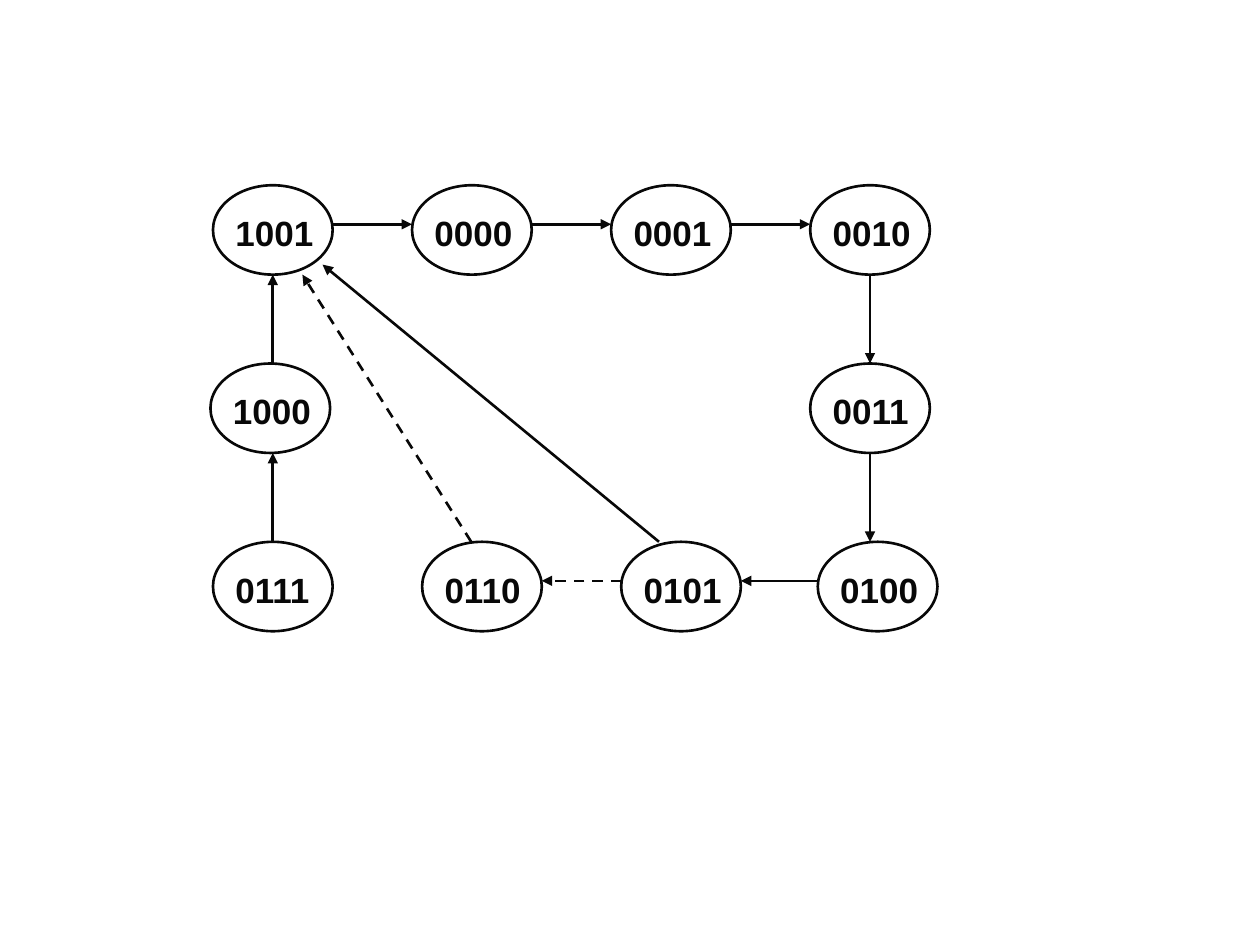
from lxml.etree import SubElement
from pptx import Presentation
from pptx.dml.color import RGBColor
from pptx.enum.dml import MSO_LINE
from pptx.enum.shapes import MSO_CONNECTOR, MSO_SHAPE
from pptx.oxml.ns import qn
from pptx.util import Inches, Pt

INK = RGBColor(0x08, 0x08, 0x08)
WIDTH, HEIGHT = 0.95, 0.71
LEFT, TOP = 1.69, 1.47
COL_STEP, ROW_STEP = 1.58, 1.415
ARROW_DROP = 0.31

# state: (column, row, horizontal nudge)
STATES = {
    "1001": (0, 0, 0), "0000": (1, 0, 0), "0001": (2, 0, 0), "0010": (3, 0, 0),
    "0011": (3, 1, 0), "0100": (3, 2, 0.06), "0101": (2, 2, 0.08),
    "0110": (1, 2, 0.08), "0111": (0, 2, 0), "1000": (0, 1, -0.02),
}
STEPS = [
    ("1001", "0000", False), ("0000", "0001", False), ("0001", "0010", False),
    ("0010", "0011", False), ("0011", "0100", False), ("0100", "0101", False),
    ("0101", "0110", True), ("0111", "1000", False), ("1000", "1001", False),
]
SHORTCUTS = [
    ((5.23, 4.3), (2.56, 2.1), False),
    ((3.74, 4.3), (2.4, 2.18), True),
]


def corner(state):
    col, row, nudge = STATES[state]
    return LEFT + col * COL_STEP + nudge, TOP + row * ROW_STEP


def add_text(s, text, x, y, w, h, size=20, bold=True, color=INK, font="Arial"):
    tf = s.shapes.add_textbox(Inches(x), Inches(y), Inches(w), Inches(h)).text_frame
    tf.word_wrap = True
    r = tf.paragraphs[0].add_run()
    r.text = text
    r.font.name, r.font.size, r.font.bold = font, Pt(size), bold
    r.font.color.rgb = color


def add_state(s, state):
    x, y = corner(state)
    sp = s.shapes.add_shape(MSO_SHAPE.OVAL, Inches(x), Inches(y), Inches(WIDTH), Inches(HEIGHT))
    sp.shadow.inherit = False
    sp.fill.background()
    sp.line.color.rgb = INK
    sp.line.width = Pt(1.5)
    add_text(s, state, x + 0.08, y + 0.16, 0.97, 0.44)


def add_arrow(s, start, end, dashed):
    points = [Inches(v) for v in (*start, *end)]
    arrow = s.shapes.add_connector(MSO_CONNECTOR.STRAIGHT, *points)
    arrow.line.color.rgb = INK
    arrow.line.width = Pt(1.5)
    if dashed:
        arrow.line.dash_style = MSO_LINE.DASH
    SubElement(arrow.line._get_or_add_ln(), qn("a:tailEnd"), type="triangle")
    SubElement(arrow._element.spPr, qn("a:effectLst"))


def step_ends(a, b):
    (ax, ay), (bx, by) = corner(a), corner(b)
    if STATES[a][1] == STATES[b][1]:
        y = ay + ARROW_DROP
        return ((ax + WIDTH, y), (bx, y)) if ax < bx else ((ax, y), (bx + WIDTH, y))
    x = LEFT + STATES[a][0] * COL_STEP + WIDTH / 2
    return ((x, ay + HEIGHT), (x, by)) if ay < by else ((x, ay), (x, by + HEIGHT))


def main():
    prs = Presentation()
    prs.slide_width, prs.slide_height = Inches(10), Inches(7.5)
    s = prs.slides.add_slide(prs.slide_layouts[6])
    for state in STATES:
        add_state(s, state)
    for a, b, dashed in STEPS:
        add_arrow(s, *step_ends(a, b), dashed)
    for start, end, dashed in SHORTCUTS:
        add_arrow(s, start, end, dashed)
    prs.save("out.pptx")


if __name__ == "__main__":
    main()
